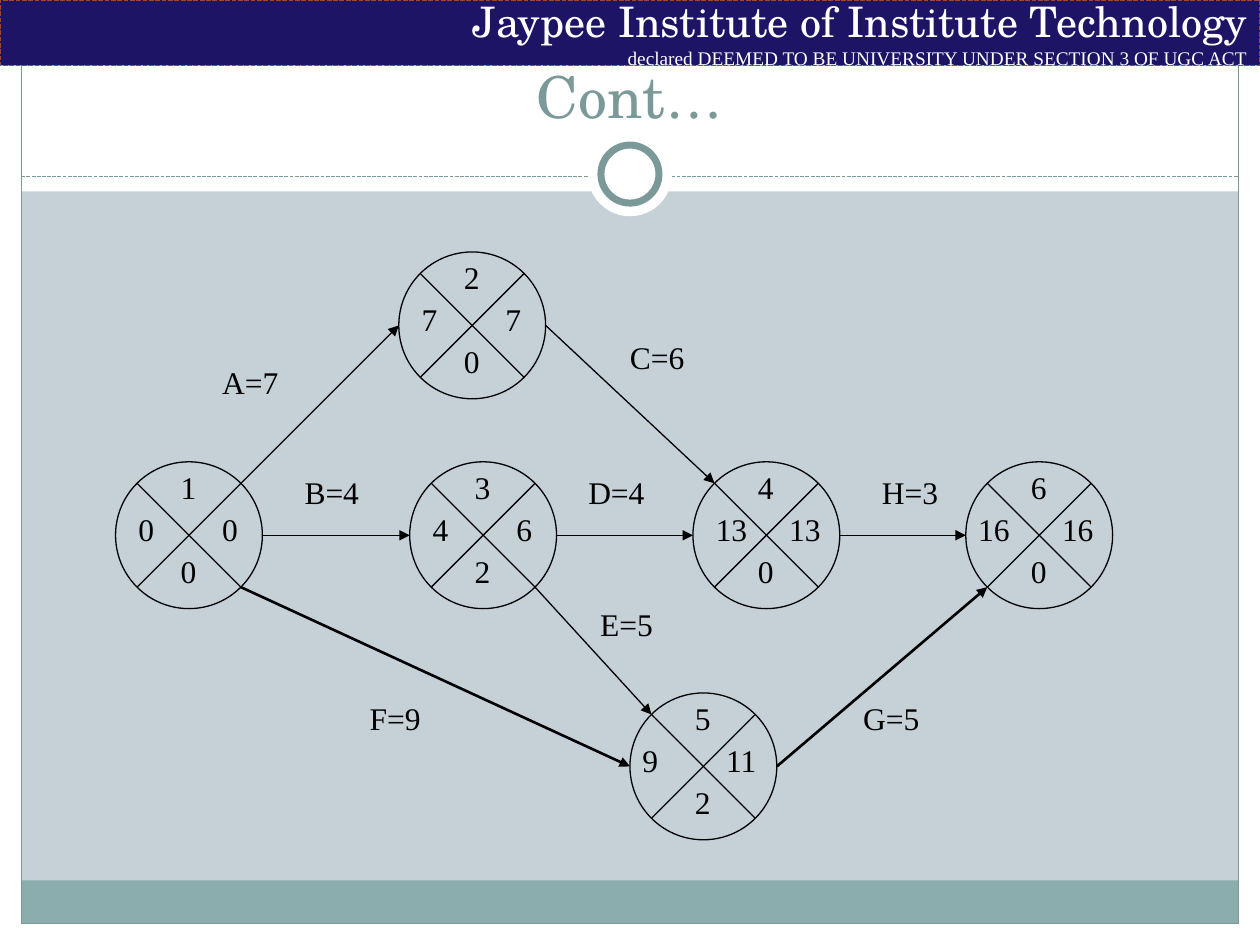
import math

import pptx
import pptx.util
import pptx.dml.color
import pptx.enum.dml
import pptx.enum.shapes
import pptx.enum.text
import pptx.oxml.ns
from lxml import etree

Cm, Pt = pptx.util.Cm, pptx.util.Pt
KIND = pptx.enum.shapes.MSO_SHAPE
ALIGN = pptx.enum.text.PP_ALIGN
ANCHOR = pptx.enum.text.MSO_ANCHOR
FIT = pptx.enum.text.MSO_AUTO_SIZE
DASH = pptx.enum.dml.MSO_LINE.SQUARE_DOT

SERIF, SCHOOL = "Times New Roman", "TeX Gyre Schola"
WHITE, BLACK, TEAL = "FFFFFF", "000000", "7C999A"
SIZE = 2.96  # node diameter in cm
ANGLES = {"E": 0, "SE": 45, "SW": 135, "W": 180, "NW": 225, "NE": 315}

# event: left, top, (number, slack, early, late), inset of the left value
NODES = {
    1: (2.33, 9.31, ("1", "0", "0", "0"), 0.21),
    2: (8.04, 5.08, ("2", "0", "7", "7"), 0.21),
    3: (8.26, 9.31, ("3", "2", "4", "6"), 0.21),
    4: (13.97, 9.31, ("4", "0", "13", "13"), 0.21),
    5: (12.7, 13.97, ("5", "2", "9", "11"), 0),
    6: (19.47, 9.31, ("6", "0", "16", "16"), 0),
}
# from, side, to, side, width, label, label left, top, width
TASKS = [
    (1, "NE", 2, "W", 0.75, "A=7", 4.23, 7.2, 2.03),
    (1, "E", 3, "W", 0.75, "B=4", 5.89, 9.42, 1.98),
    (2, "E", 4, "NW", 0.75, "C=6", 12.45, 6.68, 1.98),
    (3, "E", 4, "W", 0.75, "D=4", 11.61, 9.42, 2.03),
    (3, "SE", 5, "NW", 0.75, "E=5", 11.85, 12.07, 1.93),
    (1, "SE", 5, "W", 1.5, "F=9", 7.2, 13.97, 1.88),
    (5, "E", 6, "SW", 1.5, "G=5", 17.15, 13.97, 2.03),
    (4, "E", 6, "W", 0.75, "H=3", 17.53, 9.42, 2.03),
]


def put(item, **values):
    for name, value in values.items():
        setattr(item, name, value)


def rgb(code):
    return pptx.dml.color.RGBColor.from_string(code)


def pen(line, color, width, dash=None):
    line.fill.solid()
    line.fill.fore_color.rgb = rgb(color)
    put(line, width=Pt(width), dash_style=dash)


def shape(shapes, kind, box, fill=None, edge=None):
    """Add a preset shape; edge is (color, width[, dash])."""
    item = shapes.add_shape(kind, *map(Cm, box))
    item.shadow.inherit = False
    if fill:
        item.fill.solid()
        item.fill.fore_color.rgb = rgb(fill)
    else:
        item.fill.background()
    if edge:
        pen(item.line, *edge)
    else:
        item.line.fill.background()
    return item


def rule(shapes, start, end, color=BLACK, width=0.75, dash=None, head=False):
    item = shapes.add_connector(
        pptx.enum.shapes.MSO_CONNECTOR.STRAIGHT, *map(Cm, (*start, *end)))
    pen(item.line, color, width, dash)
    tag = pptx.oxml.ns.qn
    if head:
        etree.SubElement(item.line._get_or_add_ln(), tag("a:tailEnd"), type="triangle")
    etree.SubElement(item._element.spPr, tag("a:effectLst"))


def write(para, text, size, face, color, align):
    para.text = text
    para.alignment = align
    put(para.font, size=Pt(size), name=face)
    para.font.color.rgb = rgb(color)


def label(shapes, text, x, y, wide):
    frame = shapes.add_textbox(*map(Cm, (x, y, wide, 1.27))).text_frame
    put(frame, word_wrap=False, auto_size=FIT.SHAPE_TO_FIT_TEXT)
    write(frame.paragraphs[0], text, 18, SERIF, BLACK, ALIGN.LEFT)


def border(shapes, x, y, w, h):
    """White margins, bottom strip, outline and the ringed divider."""
    side, top, foot = 0.43, 3.86, 0.43
    for box in [(x, y + h - foot, w, foot), (x, y, w, top),
                (x, y, side, h), (x + w - side, y, side, h)]:
        shape(shapes, KIND.RECTANGLE, box, WHITE)
    inner = w - 2 * side
    shape(shapes, KIND.RECTANGLE, (x + side, y + h - 1.3, inner, 0.87), "8CADAE")
    shape(shapes, KIND.RECTANGLE, (x + side, y + side, inner, h - side - foot),
          edge=(TEAL, 0.75))
    rule(shapes, (x + side, y + 3.56), (x + w - side, y + 3.56), TEAL, 0.75, DASH)
    for wide, edge in [(1.7, None), (1.17, (TEAL, 4))]:
        box = (x + (w - wide) / 2, y + 3.51 - wide / 2, wide, wide)
        shape(shapes, KIND.OVAL, box, WHITE, edge)


def banner(shapes, *box):
    frame = shape(shapes, KIND.RECTANGLE, box, "1E1466", ("9B4936", 0.9, DASH)).text_frame
    put(frame, word_wrap=True, vertical_anchor=ANCHOR.MIDDLE)
    write(frame.paragraphs[0], "Jaypee Institute of Institute Technology",
          24, SCHOOL, WHITE, ALIGN.RIGHT)
    write(frame.add_paragraph(),
          "declared DEEMED TO BE UNIVERSITY UNDER SECTION 3 OF UGC ACT",
          11, SERIF, WHITE, ALIGN.RIGHT)


def heading(slide, x, y, w, h):
    title = slide.shapes.title
    put(title, left=Cm(x), top=Cm(y), width=Cm(w), height=Cm(h))
    put(title.text_frame, vertical_anchor=ANCHOR.BOTTOM, auto_size=FIT.NONE)
    write(title.text_frame.paragraphs[0], "Cont…", 33, SCHOOL, TEAL, ALIGN.CENTER)
    slide.shapes._spTree.append(title._element)  # bring to front


def rim(x, y, side):
    """Point on the circle of the node at x, y."""
    turn, half = math.radians(ANGLES[side]), SIZE / 2
    return x + half + half * math.cos(turn), y + half + half * math.sin(turn)


def node(shapes, x, y, values, inset):
    parts = shapes.add_group_shape().shapes
    shape(parts, KIND.OVAL, (x, y, SIZE, SIZE), edge=(BLACK, 0.75))
    for start, end in [("SW", "NE"), ("NW", "SE")]:
        rule(parts, rim(x, y, start), rim(x, y, end))
    right = 1.69 if len(values[3]) > 1 else 1.9
    spots = [(1.06, 0), (1.06, 1.69), (inset, 0.85), (right, 0.85)]
    for text, (dx, dy) in zip(values, spots):
        label(parts, text, x + dx, y + dy, 0.94 if len(text) == 1 else 1.35)


def network(shapes):
    for spot in NODES.values():
        node(shapes, *spot)
    for first, out, last, into, width, text, x, y, wide in TASKS:
        rule(shapes, rim(*NODES[first][:2], out), rim(*NODES[last][:2], into),
             width=width, head=True)
        label(shapes, text, x, y, wide)


def main():
    deck = pptx.Presentation()
    put(deck, slide_width=Cm(25.4), slide_height=Cm(19.05))
    slide = deck.slides.add_slide(deck.slide_layouts[5])
    back = slide.background.fill
    back.solid()
    back.fore_color.rgb = rgb("C5D1D7")
    border(slide.shapes, 0, 0, 25.4, 19.05)
    banner(slide.shapes, 0, 0, 25.4, 1.32)
    heading(slide, 0.85, 0.64, 23.7, 2.11)
    network(slide.shapes)
    deck.save("out.pptx")


if __name__ == "__main__":
    main()
